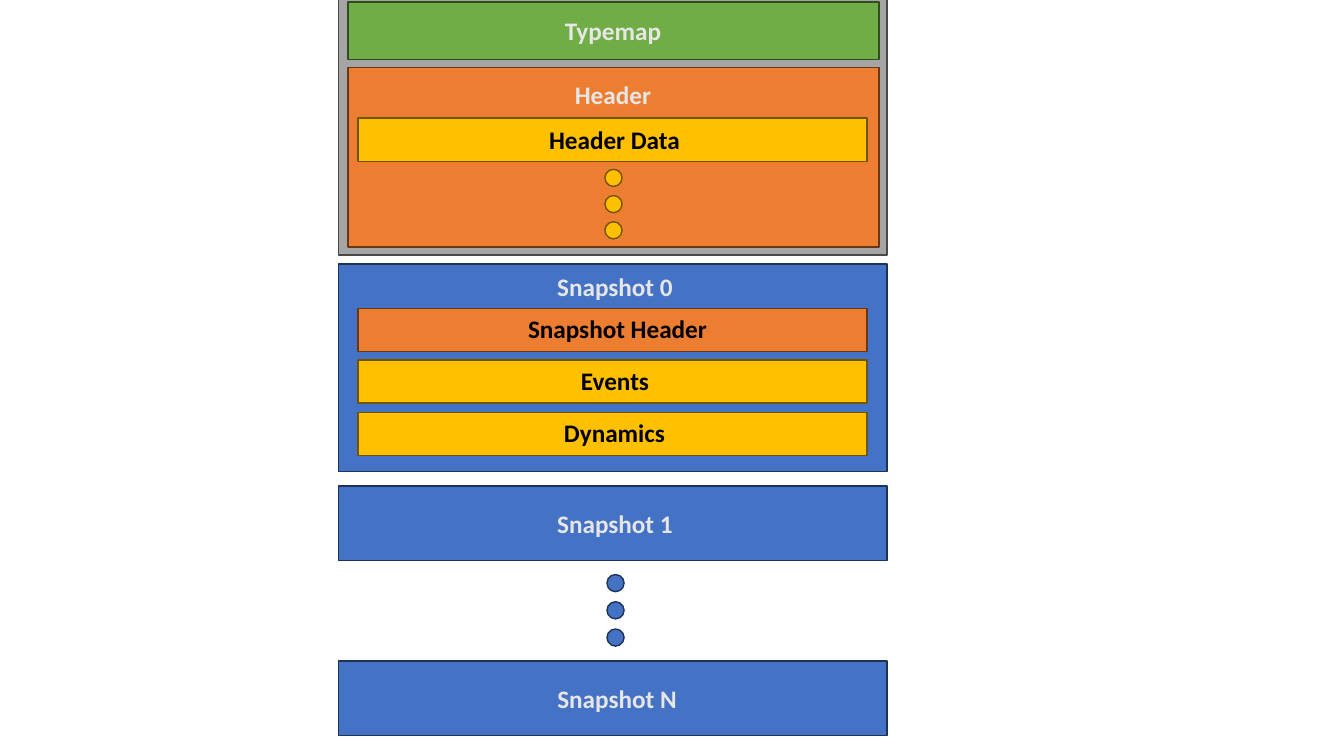
"""Build a slide showing the block layout of a snapshot file."""
from dataclasses import dataclass

import pptx
import pptx.dml.color
import pptx.enum.shapes
import pptx.enum.text
import pptx.slide
import pptx.util

PX = 9144
DOT_SIZE = 17
LABEL_HEIGHT = 40
COLOURS = {
    "grey": "A5A5A5", "grey edge": "484848",
    "green": "70AD47", "green edge": "314C1F",
    "blue": "4472C4", "blue edge": "1E3256",
    "orange": "ED7D31", "orange edge": "683715",
    "gold": "FFC000", "gold edge": "705400",
    "light": "E7E6E6", "black": "000000",
}


@dataclass(frozen=True)
class Column:
    """Horizontal extent shared by blocks of one nesting level."""
    left: int
    width: int


@dataclass(frozen=True)
class Label:
    """Caption of a block."""
    text: str
    left: int
    top: int
    width: int
    colour: str = "light"


@dataclass(frozen=True)
class Block:
    """Rectangular section of the file."""
    column: Column
    top: int
    height: int
    colour: str
    label: Label | None = None


@dataclass(frozen=True)
class Dots:
    """Three dots standing for repeated sections."""
    left: int
    top: int
    pitch: int
    colour: str


OUTER = Column(336, 544)
SECTION = Column(345, 527)
INNER = Column(355, 505)

FILE_PARTS = [
    Block(OUTER, -47, 300, "grey"),
    Block(SECTION, 2, 57, "green", Label("Typemap", 550, 10, 116)),
    Block(SECTION, 67, 178, "orange", Label("Header", 560, 74, 96)),
    Block(INNER, 117, 43, "gold", Label("Header Data", 534, 118, 151, "black")),
    Dots(600, 168, 26, "gold"),
    Block(OUTER, 262, 206, "blue", Label("Snapshot 0", 542, 264, 136)),
    Block(INNER, 306, 43, "orange", Label("Snapshot Header", 513, 306, 199, "black")),
    Block(INNER, 357, 43, "gold", Label("Events", 566, 358, 88, "black")),
    Block(INNER, 409, 43, "gold", Label("Dynamics", 549, 409, 121, "black")),
    Block(OUTER, 482, 74, "blue", Label("Snapshot 1", 542, 499, 136)),
    Dots(602, 570, 27, "blue"),
    Block(OUTER, 656, 74, "blue", Label("Snapshot N", 542, 673, 140)),
]


def rgb(name: str) -> pptx.dml.color.RGBColor:
    """Look up a named colour."""
    return pptx.dml.color.RGBColor.from_string(COLOURS[name])


def draw_shape(slide: pptx.slide.Slide, kind: pptx.enum.shapes.MSO_SHAPE,
               left: int, top: int, width: int, height: int, colour: str) -> None:
    """Draw a filled shape with its darker edge."""
    shape = slide.shapes.add_shape(kind, left * PX, top * PX, width * PX, height * PX)
    shape.shadow.inherit = False
    shape.fill.solid()
    shape.fill.fore_color.rgb = rgb(colour)
    shape.line.color.rgb = rgb(f"{colour} edge")
    shape.line.width = pptx.util.Pt(1)


def draw_label(slide: pptx.slide.Slide, label: Label) -> None:
    """Write a bold centred caption."""
    caption = slide.shapes.add_textbox(
        label.left * PX, label.top * PX, label.width * PX, LABEL_HEIGHT * PX)
    caption.text_frame.word_wrap = False
    caption.text_frame.auto_size = pptx.enum.text.MSO_AUTO_SIZE.SHAPE_TO_FIT_TEXT
    line = caption.text_frame.paragraphs[0]
    line.alignment = pptx.enum.text.PP_ALIGN.CENTER
    words = line.add_run()
    words.text = label.text
    words.font.name = "Calibri"
    words.font.size = pptx.util.Pt(18)
    words.font.bold = True
    words.font.color.rgb = rgb(label.colour)


def draw_block(slide: pptx.slide.Slide, block: Block) -> None:
    """Draw a block and its caption."""
    draw_shape(slide, pptx.enum.shapes.MSO_SHAPE.RECTANGLE, block.column.left, block.top,
               block.column.width, block.height, block.colour)
    if block.label:
        draw_label(slide, block.label)


def draw_dots(slide: pptx.slide.Slide, dots: Dots) -> None:
    """Draw a vertical ellipsis."""
    for step in range(3):
        draw_shape(slide, pptx.enum.shapes.MSO_SHAPE.OVAL, dots.left,
                   dots.top + step * dots.pitch, DOT_SIZE, DOT_SIZE, dots.colour)


def main() -> None:
    """Build and save the presentation."""
    deck = pptx.Presentation()
    deck.slide_width = 1333 * PX
    deck.slide_height = 750 * PX
    slide = deck.slides.add_slide(deck.slide_layouts[6])
    for part in FILE_PARTS:
        if isinstance(part, Dots):
            draw_dots(slide, part)
        else:
            draw_block(slide, part)
    deck.save("out.pptx")


if __name__ == "__main__":
    main()
